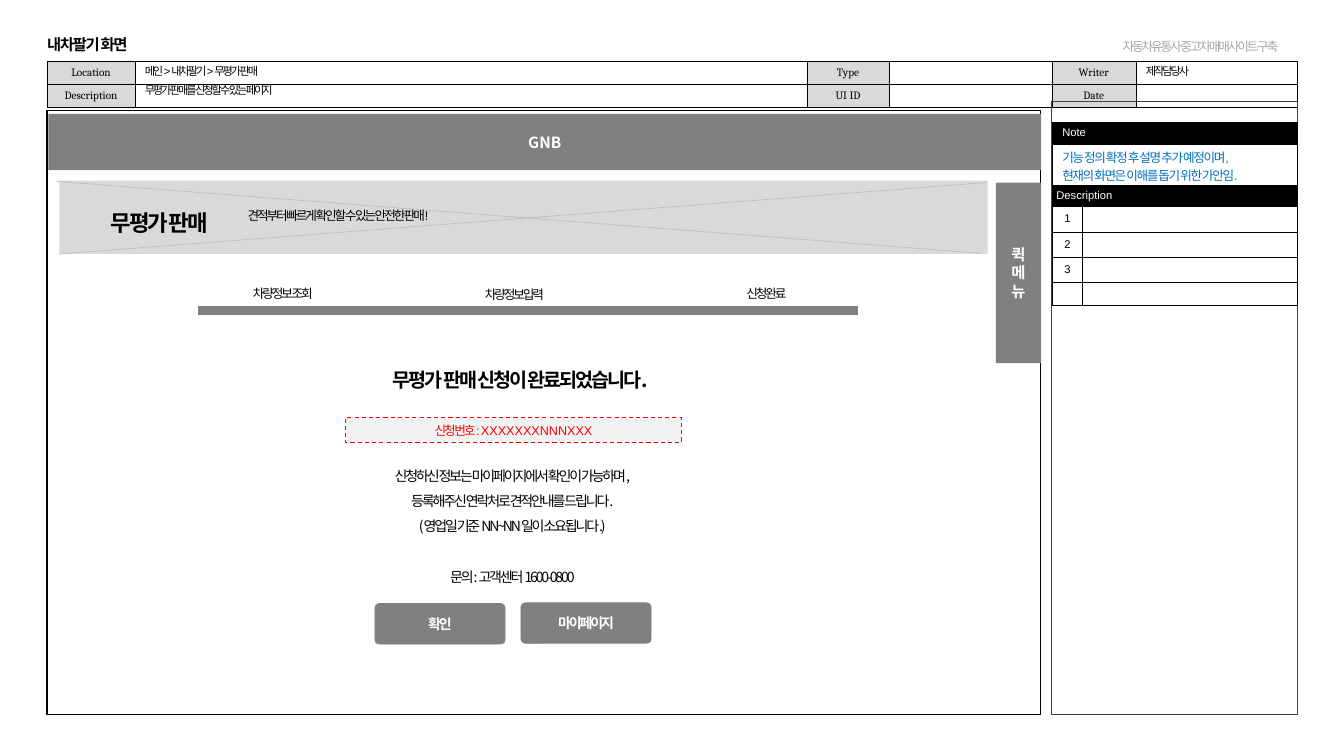
from dataclasses import dataclass

from lxml.etree import SubElement
from pptx import Presentation
from pptx.dml.color import RGBColor
from pptx.enum.dml import MSO_LINE
from pptx.enum.shapes import MSO_CONNECTOR, MSO_SHAPE as Preset
from pptx.enum.text import MSO_ANCHOR as Anchor, MSO_AUTO_SIZE, PP_ALIGN as Align
from pptx.oxml import parse_xml
from pptx.oxml.ns import nsdecls, qn
from pptx.util import Cm, Pt


@dataclass(frozen=True)
class Theme:
    black: str = "000000"
    white: str = "FFFFFF"
    frame: str = "404040"
    block: str = "808080"
    faint: str = "A6A6A6"
    cross: str = "BFBFBF"
    pale: str = "D9D9D9"
    paper: str = "F2F2F2"
    alert: str = "FF0000"
    note: str = "0070C0"
    small: float = 8
    label: float = 9
    text: float = 10
    heading: float = 11
    message: float = 14
    banner: float = 16
    latin: str = "Arial"
    serif: str = "Cambria"
    korean: str = "Noto Sans CJK KR"
    tight: float = -1.5


THEME = Theme()
INSETS = (0.25, 0.13, 0.25, 0.13)
CELL_INSETS = (0.1, 0.05, 0.1, 0.05)


def rgb(value):
    return RGBColor.from_string(value)


def add_span(para, text, size, color, font, bold, spacing):
    span = para.add_run()
    span.text = text
    span.font.size = Pt(size)
    span.font.bold = bold
    span.font.color.rgb = rgb(color)
    span.font.name = font
    properties = span.font._element
    properties.set("spc", str(round(spacing * 100)))
    SubElement(properties, qn("a:ea")).set("typeface", THEME.korean)


def write(frame, *lines, size=THEME.label, color=THEME.black, font=THEME.latin,
          bold=False, spacing=0, align=Align.LEFT, leading=1.0):
    """Write one paragraph per line and return the last paragraph."""
    for index, line in enumerate(lines):
        para = frame.paragraphs[0] if index == 0 else frame.add_paragraph()
        properties = para._p.get_or_add_pPr()
        properties.set("marL", "0")
        properties.set("indent", "0")
        SubElement(properties, qn("a:buNone"))
        para.alignment = align
        para.line_spacing = leading
        para.space_before = Pt(0)
        add_span(para, line, size, color, font, bold, spacing)
    return para


def set_frame(shape, anchor=Anchor.TOP, insets=INSETS, wrap=True):
    frame = shape.text_frame
    frame.auto_size = MSO_AUTO_SIZE.NONE
    frame.word_wrap = wrap
    frame.vertical_anchor = anchor
    (frame.margin_left, frame.margin_top,
     frame.margin_right, frame.margin_bottom) = map(Cm, insets)
    return frame


def move(shape, box):
    shape.left, shape.top, shape.width, shape.height = map(Cm, box)


def add_text(page, box, *lines, anchor=Anchor.TOP, insets=INSETS, wrap=True, **style):
    shape = page.shapes.add_textbox(*map(Cm, box))
    write(set_frame(shape, anchor, insets, wrap), *lines, **style)


def add_block(page, box, fill=None, line=None, width=0.5, preset=Preset.RECTANGLE):
    shape = page.shapes.add_shape(preset, *map(Cm, box))
    shape.shadow.inherit = False
    if fill:
        shape.fill.solid()
        shape.fill.fore_color.rgb = rgb(fill)
    else:
        shape.fill.background()
    if line:
        shape.line.color.rgb = rgb(line)
        shape.line.width = Pt(width)
    else:
        shape.line.fill.background()
    return shape


def add_line(page, start, end, color, width):
    line = page.shapes.add_connector(MSO_CONNECTOR.STRAIGHT, *map(Cm, start + end))
    line.line.color.rgb = rgb(color)
    line.line.width = Pt(width)
    SubElement(line._element.spPr, qn("a:effectLst"))


def add_grid(page, left, top, columns, rows):
    grid = page.shapes.add_table(len(rows), len(columns), Cm(left), Cm(top),
                                 Cm(sum(columns)), Cm(sum(rows))).table
    for column, width in zip(grid.columns, columns):
        column.width = Cm(width)
    for row, height in zip(grid.rows, rows):
        row.height = Cm(height)
    for cell in grid.iter_cells():
        format_cell(cell, THEME.white)
        ending = cell.text_frame.paragraphs[0]._p.get_or_add_endParaRPr()
        ending.set("sz", str(round(THEME.small * 100)))
    return grid


def format_cell(cell, fill, insets=CELL_INSETS, anchor=Anchor.MIDDLE):
    cell.fill.solid()
    cell.fill.fore_color.rgb = rgb(fill)
    cell.vertical_anchor = anchor
    (cell.margin_left, cell.margin_top,
     cell.margin_right, cell.margin_bottom) = map(Cm, insets)
    properties = cell._tc.get_or_add_tcPr()
    for index, side in enumerate(("lnL", "lnR", "lnT", "lnB")):
        for old in properties.findall(qn(f"a:{side}")):
            properties.remove(old)
        properties.insert(index, parse_xml(
            f'<a:{side} {nsdecls("a")} w="{Pt(0.25)}"><a:solidFill>'
            f'<a:srgbClr val="{THEME.black}"/></a:solidFill></a:{side}>'))


def add_header(page):
    grid = add_grid(page, 1.19, 1.55, (2.21, 16.94, 2.06, 4.11, 2.11, 4.06), (0.58, 0.58))
    labels = (("Location", "Type", "Writer"), ("Description", "UI ID", "Date"))
    for row, names in enumerate(labels):
        for position, name in enumerate(names):
            cell = grid.cell(row, position * 2)
            format_cell(cell, THEME.pale)
            write(cell.text_frame, name, size=THEME.small, font=THEME.serif, align=Align.CENTER)
    values = (((3.4, 1.55, 16.92, 0.51), "메인 > 내차팔기 > 무평가 판매"),
              ((3.4, 2.03, 16.92, 0.51), "무평가 판매를 신청할 수 있는 페이지"),
              ((28.63, 1.55, 4.06, 0.51), "제작담당사"))
    for box, value in values:
        add_text(page, box, value, anchor=Anchor.MIDDLE, insets=(0.25, 0, 0.25, 0),
                 size=THEME.small, spacing=THEME.tight, leading=0.9)
    add_text(page, (28.04, 0.84, 4.9, 0.64), "자동차유통사 중고차매매사이트 구축",
             wrap=False, color=THEME.faint, spacing=THEME.tight)


def add_notes_panel(page):
    grid = add_grid(page, 26.52, 3.07, (0.76, 5.41),
                    (0.56, 1.04, 0.53, 0.64, 0.64, 0.64, 0.58))
    for row in range(3):
        grid.cell(row, 0).merge(grid.cell(row, 1))
    for row, name, inset in ((0, "Note", 0.25), (2, "Description", 0.1)):
        format_cell(grid.cell(row, 0), THEME.black, (inset, 0.05, 0.1, 0.05))
        write(grid.cell(row, 0).text_frame, name, size=THEME.small, color=THEME.white)
    format_cell(grid.cell(1, 0), THEME.white, (0.25, 0.1, 0.25, 0), Anchor.TOP)
    write(grid.cell(1, 0).text_frame, "기능 정의 확정 후 설명 추가 예정이며,",
          "현재의 화면은 이해를 돕기 위한 가안임.", color=THEME.note, spacing=-1)
    for number in (1, 2, 3):
        write(grid.cell(number + 2, 0).text_frame, str(number),
              size=THEME.small, align=Align.CENTER)


def add_banner(page):
    add_block(page, (1.5, 4.55, 23.39, 1.85), THEME.pale)
    add_line(page, (1.5, 6.4), (24.87, 4.6), THEME.cross, 0.5)
    add_line(page, (1.42, 4.57), (24.69, 6.38), THEME.cross, 0.5)
    add_text(page, (2.54, 4.8, 7.24, 1.27), "무평가 판매", size=THEME.banner,
             font=THEME.korean, bold=True, spacing=THEME.tight, leading=1.5)
    add_text(page, (5.99, 5.11, 9.7, 0.64), "견적부터 빠르게 확인할 수 있는 안전한 판매!",
             spacing=THEME.tight)


def add_menu(page, box, *lines):
    block = add_block(page, box, THEME.block)
    write(set_frame(block, Anchor.MIDDLE), *lines, size=THEME.heading, color=THEME.white,
          font=THEME.korean, bold=True, align=Align.CENTER)


def add_steps(page):
    for left, top, name in ((5.64, 6.88, "차량정보 조회"), (11.48, 6.91, "차량정보입력"),
                            (17.83, 6.88, "신청완료")):
        add_text(page, (left, top, 2.97, 0.84), name, font=THEME.korean,
                 spacing=THEME.tight, align=Align.CENTER, leading=1.5)
    add_line(page, (4.98, 7.82), (21.62, 7.82), THEME.block, 6)


def add_result(page, body):
    style = dict(font=THEME.korean, spacing=THEME.tight, align=Align.CENTER)
    add_text(page, (9.22, 8.84, 7.8, 1.14), "무평가 판매 신청이 완료되었습니다.",
             size=THEME.message, bold=True, leading=1.5, **style)
    number = add_block(page, (8.71, 10.52, 8.46, 0.64), THEME.paper, THEME.alert, 0.75)
    number.line.dash_style = MSO_LINE.DASH
    para = write(set_frame(number, Anchor.MIDDLE), "신청 번호 : ", color=THEME.alert,
                 spacing=THEME.tight, align=Align.CENTER)
    add_span(para, "XXXXXXXNNNXXX", THEME.label, THEME.alert, THEME.latin, False, 0)
    move(body, (8.53, 11.43, 8.76, 3.45))
    contact = write(set_frame(body), "신청하신 정보는 마이페이지에서 확인이 가능하며,",
                    "등록해주신 연락처로 견적안내를 드립니다.", "(영업일 기준 NN~NN일이 소요됩니다.)",
                    "문의: 고객센터 1600-0800", size=THEME.text, leading=1.5, **style)
    contact.space_before = Pt(18)
    for left, top, name in ((9.45, 15.21, "확인"), (13.13, 15.19, "마이페이지")):
        button = add_block(page, (left, top, 3.28, 1.02), THEME.block, THEME.block,
                           preset=Preset.ROUNDED_RECTANGLE)
        button.adjustments[0] = 0.11
        write(set_frame(button, Anchor.MIDDLE), name, size=THEME.text, color=THEME.white,
              bold=True, **style)


def main():
    deck = Presentation()
    deck.slide_width, deck.slide_height = Cm(33.87), Cm(19.05)
    page = deck.slides.add_slide(deck.slide_layouts[1])
    title, body = page.placeholders
    move(title, (1.19, 0.94, 10.29, 0.43))
    write(set_frame(title, Anchor.MIDDLE, (0, 0, 0, 0)), "내차팔기 화면",
          size=THEME.heading, bold=True, spacing=-1, leading=0.9)
    add_header(page)
    add_block(page, (26.49, 2.54, 6.2, 15.47), line=THEME.frame, width=0.25)
    add_block(page, (1.19, 2.79, 25.04, 15.21), line=THEME.black, width=1)
    add_menu(page, (1.22, 2.87, 25.02, 1.42), "GNB")
    add_banner(page)
    add_menu(page, (25.1, 4.6, 1.14, 4.55), "퀵", "메뉴")
    add_steps(page)
    add_result(page, body)
    add_notes_panel(page)
    deck.save("out.pptx")


if __name__ == "__main__":
    main()
